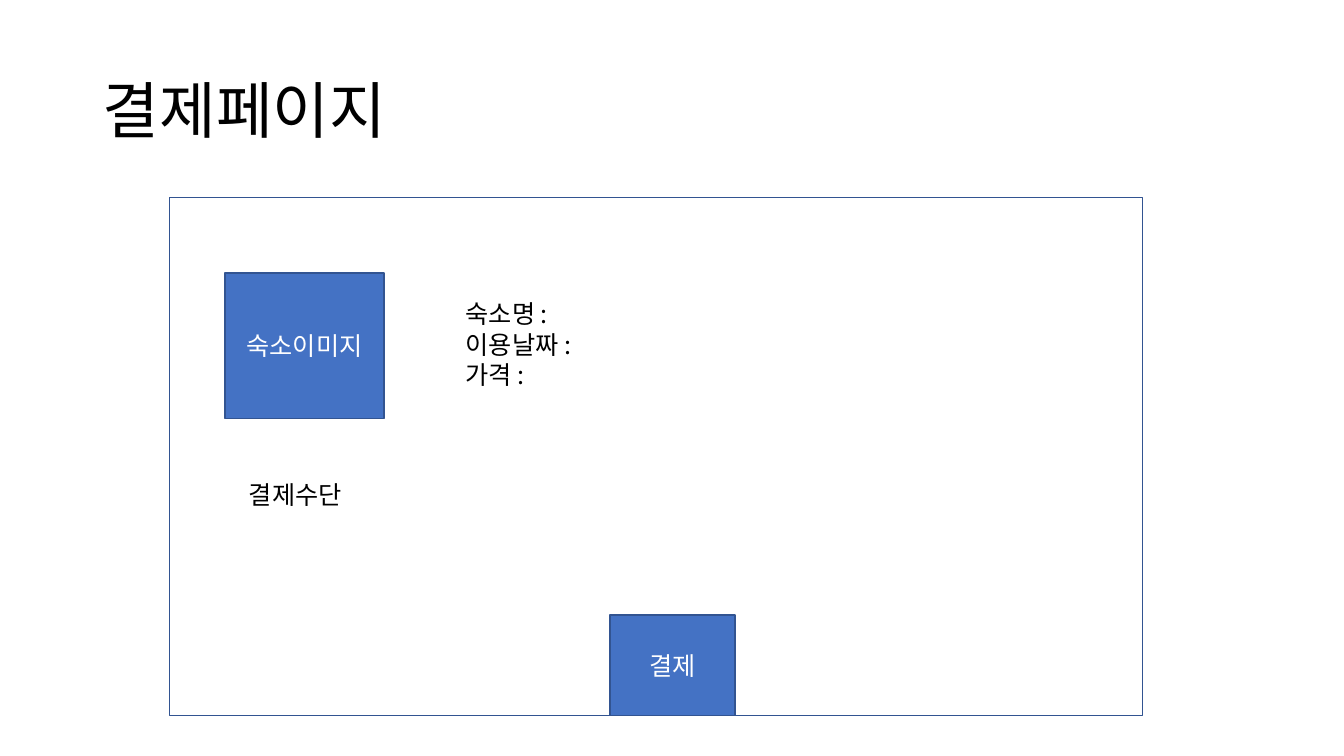
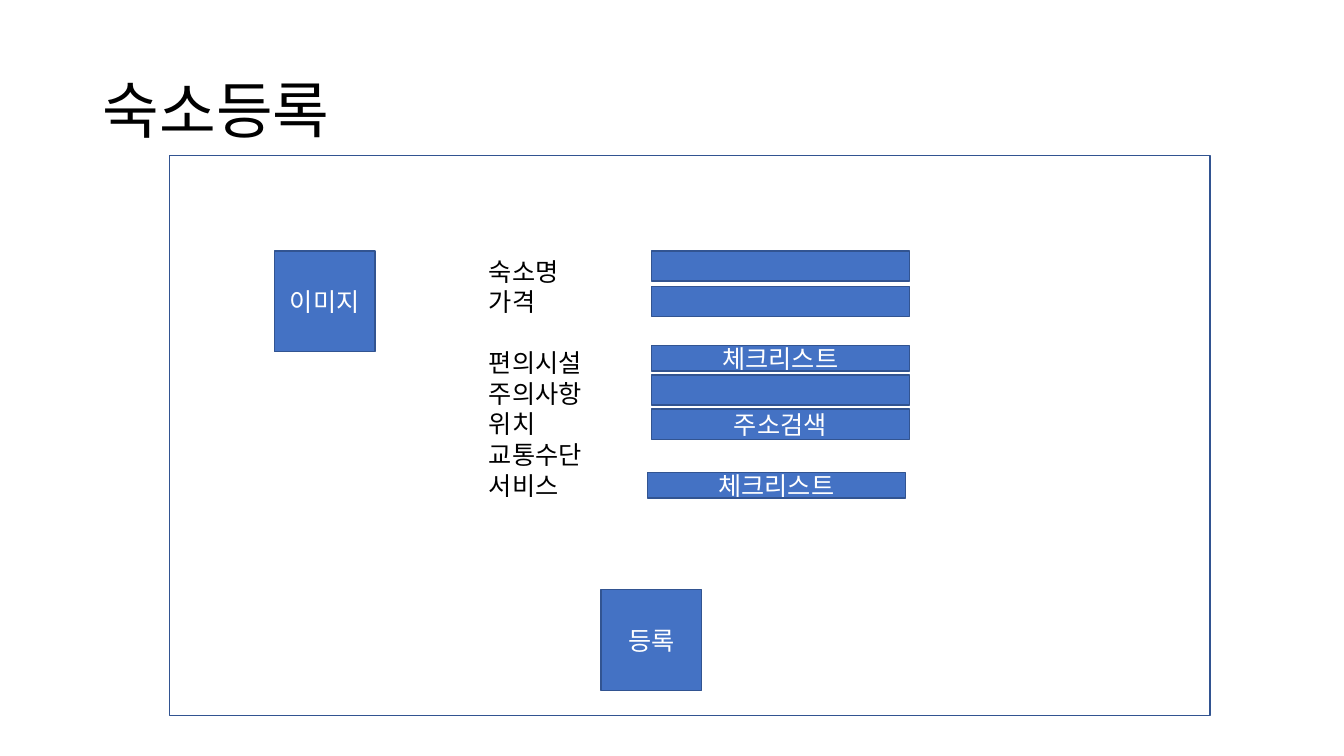
from pptx import Presentation
from pptx.dml.color import RGBColor
from pptx.enum.shapes import MSO_SHAPE as Shape
from pptx.enum.text import MSO_ANCHOR as Anchor, MSO_AUTO_SIZE as AutoSize, PP_ALIGN as Align
from pptx.oxml.ns import qn
from pptx.util import Pt
from lxml.etree import SubElement

PX = 9144
FONT = "Noto Sans CJK KR"
COLORS = {"text": "000000", "block": "4472C4", "outline": "325491", "label": "FFFFFF"}


def color(name):
    return RGBColor.from_string(COLORS[name])


def px(*lengths):
    return [length * PX for length in lengths]


class Wireframe:
    TITLE_SIZE = 44
    BODY_SIZE = 18
    LINE_PITCH = Pt(21.8)

    def __init__(self):
        self.deck = Presentation()
        self.deck.slide_width, self.deck.slide_height = px(1333, 750)
        self.slide = None

    def style(self, frame, size, ink, align, spacing):
        for paragraph in frame.paragraphs:
            paragraph.alignment = align
            paragraph.line_spacing = spacing
            for run in paragraph.runs:
                run.font.size = Pt(size)
                run.font.name = FONT
                run.font.color.rgb = color(ink)
                SubElement(run.font._element, qn("a:ea")).set("typeface", FONT)

    def page(self, heading):
        self.slide = self.deck.slides.add_slide(self.deck.slide_layouts[5])
        title = self.slide.shapes.title
        title.left, title.top, title.width, title.height = px(92, 40, 1150, 145)
        title.text_frame.text = heading
        title.text_frame.vertical_anchor = Anchor.MIDDLE
        self.style(title.text_frame, self.TITLE_SIZE, "text", Align.LEFT, 0.9)

    def outline(self, left, top, width, height):
        box = self.slide.shapes.add_shape(Shape.RECTANGLE, *px(left, top, width, height))
        box.shadow.inherit = False
        box.fill.background()
        box.line.color.rgb = color("outline")
        box.line.width = Pt(1)
        return box

    def block(self, left, top, width, height, label=""):
        box = self.outline(left, top, width, height)
        box.fill.solid()
        box.fill.fore_color.rgb = color("block")
        if label:
            box.text_frame.text = label
            box.text_frame.vertical_anchor = Anchor.MIDDLE
            self.style(box.text_frame, self.BODY_SIZE, "label", Align.CENTER, self.LINE_PITCH)

    def labels(self, left, top, width, height, lines, gap_before=None):
        box = self.slide.shapes.add_textbox(*px(left, top, width, height))
        frame = box.text_frame
        frame.word_wrap = False
        frame.auto_size = AutoSize.SHAPE_TO_FIT_TEXT
        frame.text = "\n".join(lines)
        self.style(frame, self.BODY_SIZE, "text", Align.LEFT, self.LINE_PITCH)
        if gap_before is not None:
            frame.paragraphs[gap_before].space_before = self.LINE_PITCH


def payment_page(wireframe):
    wireframe.page("결제페이지")
    wireframe.outline(168, 196, 965, 514)
    wireframe.block(223, 271, 158, 144, "숙소이미지")
    wireframe.labels(452, 291, 136, 101, ["숙소명 :", "이용날짜 :", "가격 :"])
    wireframe.labels(237, 470, 130, 40, ["결제수단"])
    wireframe.block(605, 610, 124, 100, "결제")


def registration_page(wireframe):
    wireframe.page("숙소등록")
    wireframe.outline(168, 154, 1032, 556)
    wireframe.block(272, 249, 100, 100, "이미지")
    names = ["숙소명", "가격", "편의시설", "주의사항", "위치", "교통수단", "서비스"]
    wireframe.labels(475, 249, 121, 283, names, gap_before=2)
    wireframe.block(596, 585, 100, 100, "등록")
    fields = [
        (646, 249, 30, ""),
        (646, 284, 30, ""),
        (646, 343, 25, "체크리스트"),
        (646, 372, 30, ""),
        (646, 406, 30, "주소검색"),
        (642, 469, 25, "체크리스트"),
    ]
    for left, top, height, label in fields:
        wireframe.block(left, top, 256, height, label)


def main():
    wireframe = Wireframe()
    payment_page(wireframe)
    registration_page(wireframe)
    wireframe.deck.save("out.pptx")


if __name__ == "__main__":
    main()
